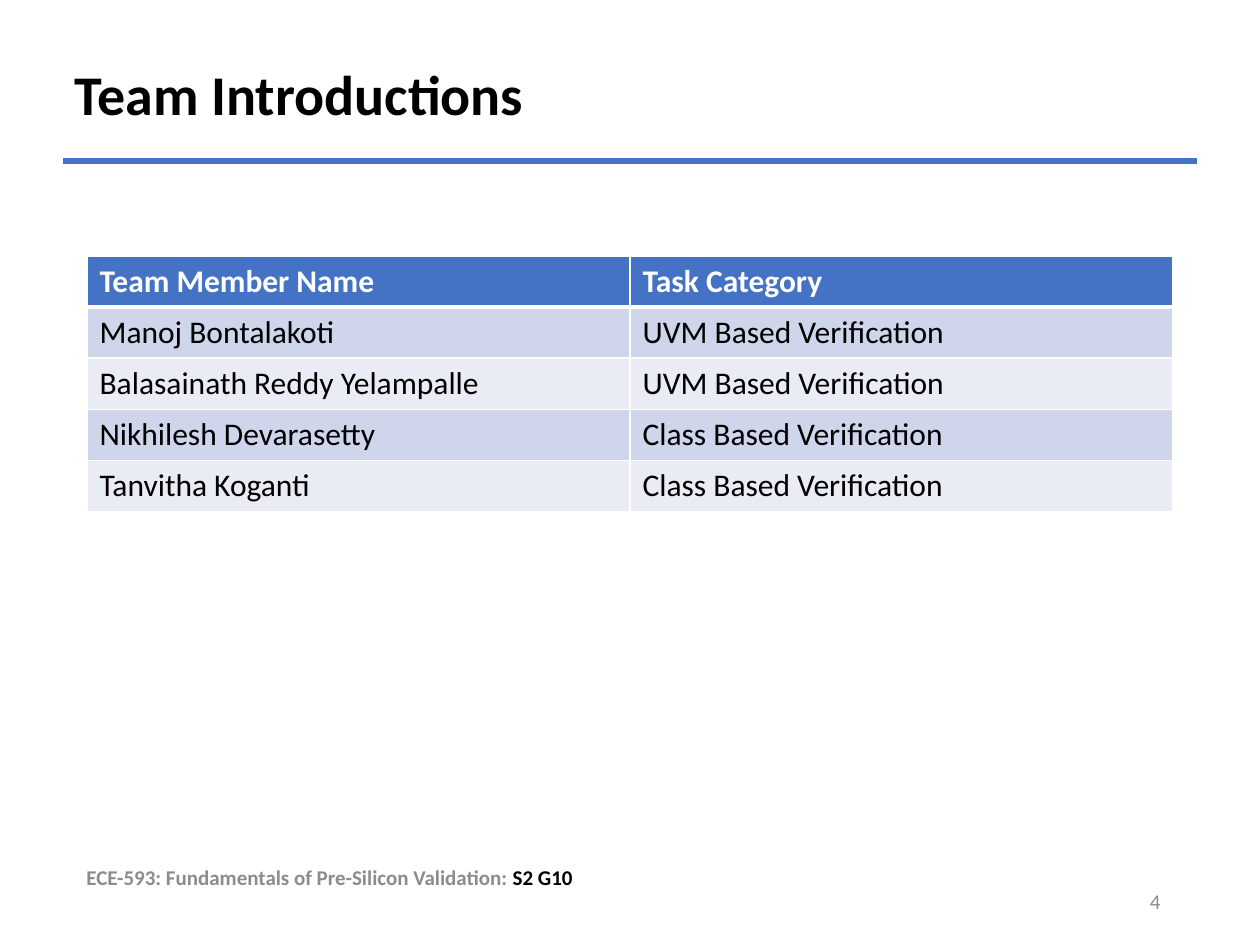
from lxml.etree import SubElement
from pptx import Presentation
from pptx.dml.color import RGBColor
from pptx.enum.shapes import MSO_CONNECTOR
from pptx.enum.text import MSO_ANCHOR, PP_ALIGN
from pptx.oxml.ns import qn
from pptx.util import Emu, Pt

BLUE, WHITE, BLACK, GRAY = "4472C4", "FFFFFF", "000000", "8C8C8C"
BANDS = ("CFD5EA", "E9EBF5")
MEMBERS = [
    ("Team Member Name", "Task Category"),
    ("Manoj Bontalakoti", "UVM Based Verification"),
    ("Balasainath Reddy Yelampalle", "UVM Based Verification"),
    ("Nikhilesh Devarasetty", "Class Based Verification"),
    ("Tanvitha Koganti", "Class Based Verification"),
]


def px(length):
    return Emu(round(length * 914400 / 126))


def color(hex_code):
    return RGBColor.from_string(hex_code)


class Painter:
    font_name = "Calibri"

    def __init__(self, page):
        self.page = page

    def style(self, font, size, hex_code, bold):
        font.name = self.font_name
        font.size = Pt(size)
        font.bold = bold
        font.color.rgb = color(hex_code)

    def text(self, left, top, width, height, spans, size, bold=False,
             align=PP_ALIGN.LEFT, spacing=1.0):
        box = self.page.shapes.add_textbox(px(left), px(top), px(width), px(height))
        frame = box.text_frame
        frame.word_wrap = True
        frame.vertical_anchor = MSO_ANCHOR.MIDDLE
        para = frame.paragraphs[0]
        para.alignment = align
        para.line_spacing = spacing
        self.style(para.font, size, spans[0][1], bold)
        for words, hex_code in spans:
            span = para.add_run()
            span.text = words
            span.font.color.rgb = color(hex_code)

    def rule(self, left, right, y, hex_code, weight):
        line = self.page.shapes.add_connector(
            MSO_CONNECTOR.STRAIGHT, px(left), px(y), px(right), px(y))
        line.line.color.rgb = color(hex_code)
        line.line.width = Pt(weight)
        SubElement(line._element.spPr, qn("a:effectLst"))

    def border(self, cell, side, weight):
        edge = SubElement(cell._tc.get_or_add_tcPr(), qn(f"a:ln{side}"), w=str(Pt(weight)))
        fill = SubElement(edge, qn("a:solidFill"))
        SubElement(fill, qn("a:srgbClr"), val=WHITE)

    def table(self, left, top, column_width, row_height, rows, size):
        columns = len(rows[0])
        grid = self.page.shapes.add_table(
            len(rows), columns, px(left), px(top),
            px(column_width * columns), px(row_height * len(rows))).table
        for r, row in enumerate(rows):
            header = r == 0
            for c, words in enumerate(row):
                cell = grid.cell(r, c)
                cell.text = words
                para = cell.text_frame.paragraphs[0]
                self.style(para.font, size, WHITE if header else BLACK, header)
                for side in "LRTB":
                    heavy = (r, side) in ((0, "B"), (1, "T"))
                    self.border(cell, side, 3 if heavy else 1)
                cell.fill.solid()
                cell.fill.fore_color.rgb = color(BLUE if header else BANDS[(r - 1) % 2])


def main():
    deck = Presentation()
    deck.slide_width, deck.slide_height = px(1260), px(945)
    painter = Painter(deck.slides.add_slide(deck.slide_layouts[6]))
    painter.table(87, 256, 543, 51, MEMBERS, 18)
    painter.text(62, 50, 1139, 95, [("Team Introductions", BLACK)], 32,
                 bold=True, spacing=0.9)
    painter.text(74, 852, 644, 50, [
        ("ECE-593: Fundamentals of Pre-Silicon Validation: ", GRAY),
        ("S2 G10", BLACK)], 12, bold=True)
    painter.text(890, 876, 283, 50, [("4", GRAY)], 12, align=PP_ALIGN.RIGHT)
    painter.rule(63, 1197, 161, BLUE, 3)
    deck.save("out.pptx")


if __name__ == "__main__":
    main()
